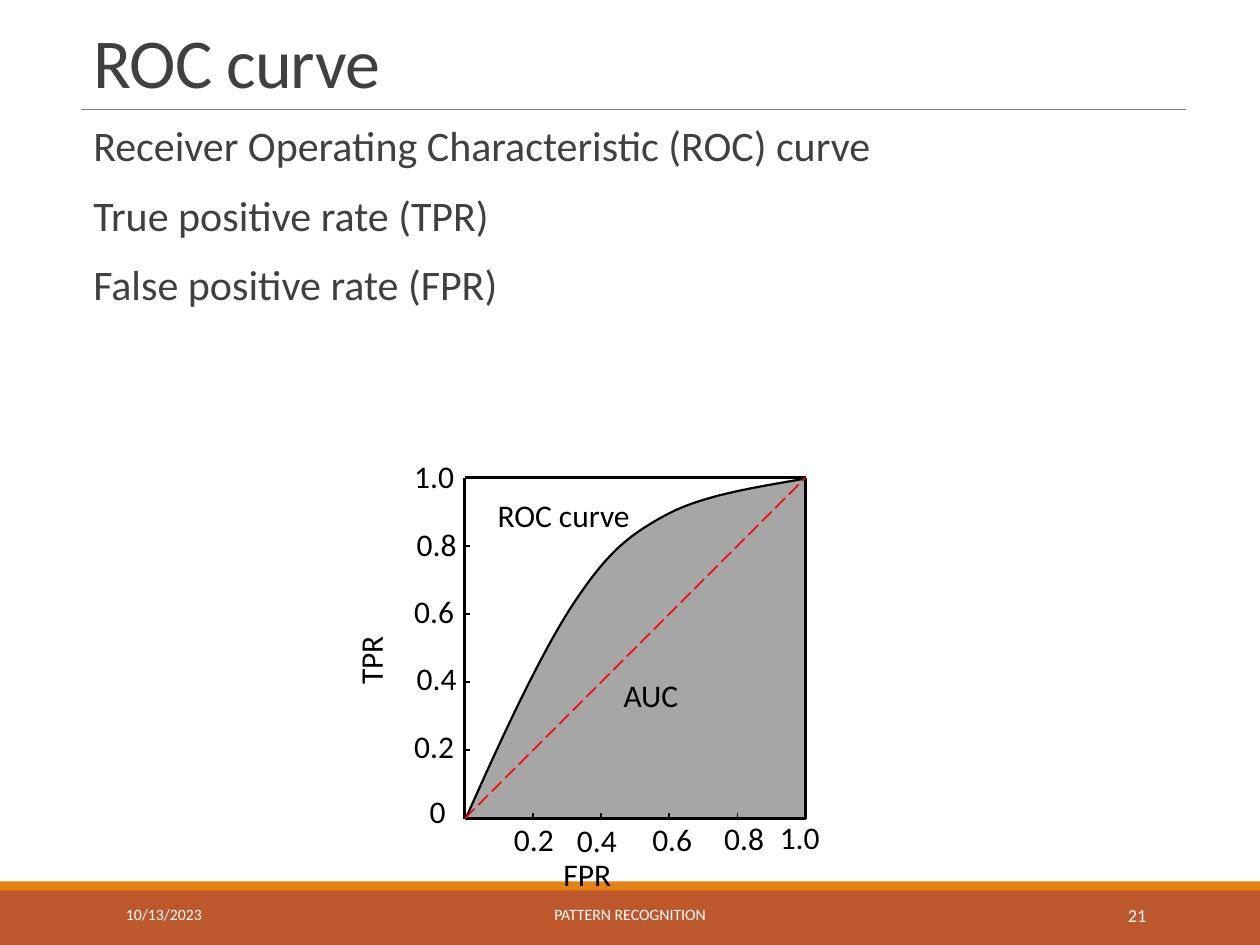
import pptx
import pptx.dml.color
import pptx.enum.dml
import pptx.enum.shapes
import pptx.enum.text
import pptx.oxml
import pptx.oxml.ns
import pptx.util

Cm = pptx.util.Cm
Pt = pptx.util.Pt
RGB = pptx.dml.color.RGBColor
KIND = pptx.enum.shapes.MSO_SHAPE
ALIGN = pptx.enum.text.PP_ALIGN
ANCHOR = pptx.enum.text.MSO_ANCHOR

BLACK = RGB(0x00, 0x00, 0x00)
WHITE = RGB(0xFF, 0xFF, 0xFF)
INK = RGB(0x40, 0x40, 0x40)
RULE = RGB(0x80, 0x80, 0x80)
AREA = RGB(0xA6, 0xA6, 0xA6)
RED = RGB(0xFF, 0x00, 0x00)
RUST = RGB(0xBD, 0x58, 0x2C)
AMBER = RGB(0xE4, 0x83, 0x12)

# Plot square, in centimetres
LEFT, TOP, SIDE = 9.37, 9.63, 6.87
RIGHT, BASE = LEFT + SIDE, TOP + SIDE
STEP = SIDE / 5

# Bezier knots and handles of the ROC curve, in centimetres
CURVE = [(9.4, 16.48), (10.13, 14.83), (10.9, 13.18), (11.56, 12.17),
         (12.22, 11.18), (12.62, 10.82), (13.41, 10.39),
         (14.17, 9.98), (15.21, 9.83), (16.23, 9.65)]


def style(item, form):
    for name, value in form.items():
        setattr(item, name, value)


def place(shape, box):
    style(shape, dict(zip(("left", "top", "width", "height"), map(Cm, box))))


def write(frame, lines, size, color, form=None):
    """Fill a frame with one paragraph per line."""
    frame.text = "\n".join(lines)
    for para in frame.paragraphs:
        style(para, form or {})
        style(para.font, {"name": "Calibri", "size": Pt(size)})
        para.font.color.rgb = color


def add_text(slide, box, text, size=18, color=BLACK, form=None,
             anchor=ANCHOR.TOP, wrap=True):
    shape = slide.shapes.add_textbox(*map(Cm, box))
    style(shape.text_frame, {"word_wrap": wrap, "vertical_anchor": anchor})
    write(shape.text_frame, [text], size, color, form)
    return shape


def add_solid(slide, kind, box, color):
    shape = slide.shapes.add_shape(kind, *map(Cm, box))
    shape.shadow.inherit = False
    shape.fill.solid()
    shape.fill.fore_color.rgb = color
    shape.line.fill.background()
    return shape


def add_line(slide, start, end, width=1.0, color=BLACK):
    line = slide.shapes.add_connector(
        pptx.enum.shapes.MSO_CONNECTOR.STRAIGHT, *map(Cm, start + end))
    line.line.width = Pt(width)
    line.line.color.rgb = color
    props = line._element.spPr
    props.append(pptx.oxml.parse_xml(
        "<a:effectLst %s/>" % pptx.oxml.ns.nsdecls("a")))
    return line


def trace(knots, count=24):
    """Sample a chain of cubic Bezier pieces."""
    points = [knots[0]]
    for first in range(0, len(knots) - 1, 3):
        piece = knots[first:first + 4]
        for index in range(1, count + 1):
            t = index / count
            parts = ((1 - t) ** 3, 3 * t * (1 - t) ** 2,
                     3 * t * t * (1 - t), t ** 3)
            points.append(tuple(
                sum(part * knot[axis] for part, knot in zip(parts, piece))
                for axis in (0, 1)))
    return points


def add_curve(slide):
    points = [(Cm(x), Cm(y)) for x, y in trace(CURVE)]
    pen = slide.shapes.build_freeform(*points[0], scale=1.0)
    pen.add_line_segments(points[1:], close=False)
    shape = pen.convert_to_shape()
    shape.shadow.inherit = False
    shape.fill.solid()
    shape.fill.fore_color.rgb = AREA
    shape.line.width = Pt(1.25)
    shape.line.color.rgb = BLACK


def add_bands(slide):
    add_solid(slide, KIND.RECTANGLE, (0, 17.93, 25.4, 1.12), RUST)
    add_solid(slide, KIND.RECTANGLE, (0, 17.77, 25.4, 0.18), AMBER)
    add_line(slide, (1.63, 2.21), (23.9, 2.21), 0.5, RULE)
    for left, width, text, size, side in (
            (2.29, 5.16, "10/13/2023", 9, ALIGN.LEFT),
            (7.67, 10.06, "PATTERN RECOGNITION", 9, ALIGN.CENTER),
            (20.62, 2.74, "21", 10.5, ALIGN.RIGHT)):
        add_text(slide, (left, 17.93, width, 1.02), text, size, WHITE,
                 {"alignment": side}, ANCHOR.MIDDLE)


def fill_title(title):
    place(title, (1.63, 0.33, 22.28, 1.88))
    style(title.text_frame, {
        "vertical_anchor": ANCHOR.BOTTOM,
        "auto_size": pptx.enum.text.MSO_AUTO_SIZE.NONE})
    write(title.text_frame, ["ROC curve"], 40, INK,
          {"alignment": ALIGN.LEFT, "line_spacing": 0.85})
    run = title.text_frame.paragraphs[0].runs[0]
    run.font._element.set("spc", "-50")


def fill_body(body):
    place(body, (1.63, 2.39, 22.28, 15.11))
    frame = body.text_frame
    style(frame, {"margin_left": 0, "margin_right": 0,
                  "auto_size": pptx.enum.text.MSO_AUTO_SIZE.NONE})
    write(frame, ["Receiver Operating Characteristic (ROC) curve",
                  "True positive rate (TPR)", "False positive rate (FPR)"],
          24, INK, {"line_spacing": 0.9, "space_before": Pt(12),
                    "space_after": Pt(2)})
    frame.paragraphs[0].space_before = Pt(0)
    for para in frame.paragraphs:
        props = para._p.get_or_add_pPr()
        props.set("marL", str(Cm(0.25)))
        props.set("indent", str(-Cm(0.25)))
        mark = pptx.oxml.parse_xml(
            '<a:buChar %s char=" "/>' % pptx.oxml.ns.nsdecls("a"))
        props.find(pptx.oxml.ns.qn("a:defRPr")).addprevious(mark)


def add_plot(slide):
    half = add_solid(slide, KIND.RIGHT_TRIANGLE, (LEFT, TOP, SIDE, SIDE), AREA)
    half.rotation = 270
    add_curve(slide)
    corners = [(LEFT, BASE), (LEFT, TOP), (RIGHT, TOP), (RIGHT, BASE)]
    for start, end in zip(corners, corners[1:] + corners[:1]):
        add_line(slide, start, end, 1.5)
    for index in range(1, 6):
        x, y = LEFT + index * STEP, BASE - index * STEP
        add_line(slide, (LEFT, y), (LEFT + 0.1, y))
        add_line(slide, (x, BASE), (x, BASE - 0.12))
    chance = add_line(slide, (LEFT, BASE), (RIGHT, TOP), 1, RED)
    chance.line.dash_style = pptx.enum.dml.MSO_LINE.LONG_DASH


def add_labels(slide):
    marks = ["0.2", "0.4", "0.6", "0.8", "1.0"]
    spots = [(8.1 + index % 2 * 0.05, 9.09 + index * 1.36)
             for index in range(5)]
    spots += [(10.11, 16.41), (11.38, 16.43), (12.9, 16.41),
              (14.35, 16.38), (15.47, 16.36), (8.41, 15.85)]
    for spot, text in zip(spots, marks[::-1] + marks + ["0"]):
        add_text(slide, spot + (1.68, 1.02), text)
    name = add_text(slide, (5.93, 11.75, 3.33, 1.27), "TPR")
    name.rotation = 270
    add_text(slide, (11.11, 17.11, 3.33, 1.27), "FPR")
    add_text(slide, (9.78, 9.88, 3.2, 1.02), "ROC curve", wrap=False)
    add_text(slide, (12.32, 13.51, 1.63, 1.02), "AUC", wrap=False)


def main():
    deck = pptx.Presentation()
    style(deck, {"slide_width": Cm(25.4), "slide_height": Cm(19.05)})
    slide = deck.slides.add_slide(deck.slide_layouts[1])
    fill_title(slide.shapes.title)
    fill_body(slide.placeholders[1])
    add_bands(slide)
    add_plot(slide)
    add_labels(slide)
    deck.save("out.pptx")


if __name__ == "__main__":
    main()
